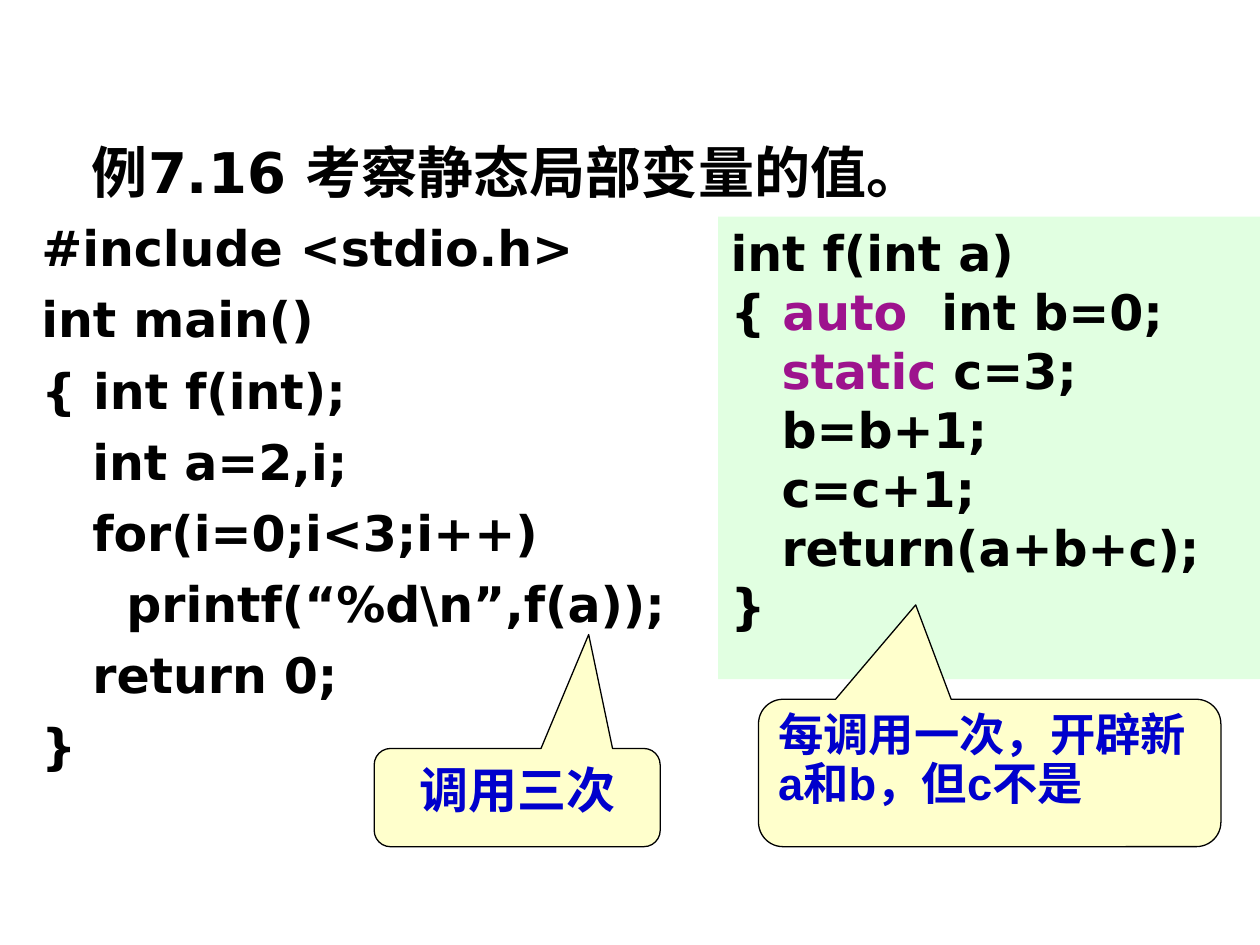
from pptx import Presentation
from pptx.dml.color import RGBColor
from pptx.enum.shapes import MSO_SHAPE
from pptx.enum.text import MSO_ANCHOR, MSO_AUTO_SIZE, PP_ALIGN
from pptx.util import Inches, Pt

BLACK = RGBColor(0x00, 0x00, 0x00)
KEYWORD = RGBColor(0x9D, 0x13, 0x8D)
NOTE_BLUE = RGBColor(0x00, 0x00, 0xCC)
NOTE_FILL = RGBColor(0xFF, 0xFF, 0xCC)
CODE_FILL = RGBColor(0xE1, 0xFF, 0xE1)

CODE_FONT = "DejaVu Sans"
NOTE_FONT = "Arial"
CODE_SIZE = 28

MAIN_CODE = [
    "#include <stdio.h>",
    "int main()",
    "{ int f(int);",
    "   int a=2,i;",
    "   for(i=0;i<3;i++)",
    "     printf(“%d\\n”,f(a));",
    "   return 0;",
    "}",
]
# A line with a keyword is given as (before, keyword, after)
FUNCTION_CODE = [
    "int f(int a)",
    ("{ ", "auto", "  int b=0;"),
    ("   ", "static", " c=3;"),
    "   b=b+1;",
    "   c=c+1;",
    "   return(a+b+c);",
    "}",
]


class CodeSlide:
    """Holds the slide and the style of its elements."""

    def __init__(self, presentation):
        self.slide = presentation.slides.add_slide(presentation.slide_layouts[5])

    @staticmethod
    def style(font, name, size, color):
        font.name, font.size, font.bold = name, Pt(size), True
        font.color.rgb = color

    @staticmethod
    def prepare(frame, anchor=MSO_ANCHOR.TOP):
        frame.word_wrap = True
        frame.auto_size = MSO_AUTO_SIZE.NONE
        frame.vertical_anchor = anchor

    def title(self, text, box):
        heading = self.slide.shapes.title
        heading.left, heading.top, heading.width, heading.height = map(Inches, box)
        frame = heading.text_frame
        self.prepare(frame, MSO_ANCHOR.MIDDLE)
        frame.text = text
        frame.paragraphs[0].alignment = PP_ALIGN.LEFT
        self.style(frame.paragraphs[0].runs[0].font, CODE_FONT, 32, BLACK)

    def write_code(self, frame, lines, space_before=0):
        self.prepare(frame)
        for index, line in enumerate(lines):
            paragraph = frame.add_paragraph() if index else frame.paragraphs[0]
            paragraph.alignment = PP_ALIGN.LEFT
            paragraph.space_before = Pt(space_before if index else 0)
            pieces = (line,) if isinstance(line, str) else line
            for position, piece in enumerate(pieces):
                run = paragraph.add_run()
                run.text = piece
                color = KEYWORD if position == 1 else BLACK
                self.style(run.font, CODE_FONT, CODE_SIZE, color)

    def code(self, lines, box, space_before):
        listing = self.slide.shapes.add_textbox(*map(Inches, box))
        self.write_code(listing.text_frame, lines, space_before)

    def panel(self, lines, box):
        panel = self.slide.shapes.add_shape(MSO_SHAPE.RECTANGLE, *map(Inches, box))
        panel.shadow.inherit = False
        panel.fill.solid()
        panel.fill.fore_color.rgb = CODE_FILL
        panel.line.fill.background()
        self.write_code(panel.text_frame, lines)

    def callout(self, text, box, tip, size, alignment, line_spacing=1.0):
        callout = self.slide.shapes.add_shape(
            MSO_SHAPE.ROUNDED_RECTANGULAR_CALLOUT, *map(Inches, box))
        callout.adjustments[0], callout.adjustments[1] = tip
        callout.shadow.inherit = False
        callout.fill.solid()
        callout.fill.fore_color.rgb = NOTE_FILL
        callout.line.color.rgb = BLACK
        callout.line.width = Pt(0.75)
        frame = callout.text_frame
        self.prepare(frame)
        frame.text = text
        paragraph = frame.paragraphs[0]
        paragraph.alignment = alignment
        paragraph.line_spacing = line_spacing
        self.style(paragraph.runs[0].font, NOTE_FONT, size, NOTE_BLUE)


def main():
    presentation = Presentation()
    presentation.slide_width, presentation.slide_height = Inches(10), Inches(7.5)
    page = CodeSlide(presentation)

    # Heading and the two code listings
    page.title("例7.16 考察静态局部变量的值。", (0.63, 1, 7.26, 0.72))
    page.code(MAIN_CODE, (0.23, 1.68, 5.47, 4.57), space_before=7)
    page.panel(FUNCTION_CODE, (5.7, 1.72, 4.3, 3.67))

    # Remarks pointing at the call and at the function
    page.callout("调用三次", (2.97, 5.94, 2.27, 0.78), (0.25, -1.66),
                 CODE_SIZE, PP_ALIGN.CENTER)
    page.callout("每调用一次，开辟新a和b，但c不是", (6.02, 5.55, 3.67, 1.17),
                 (-0.16, -1.14), 25.9, PP_ALIGN.LEFT, line_spacing=0.9)

    presentation.save("out.pptx")


if __name__ == "__main__":
    main()
